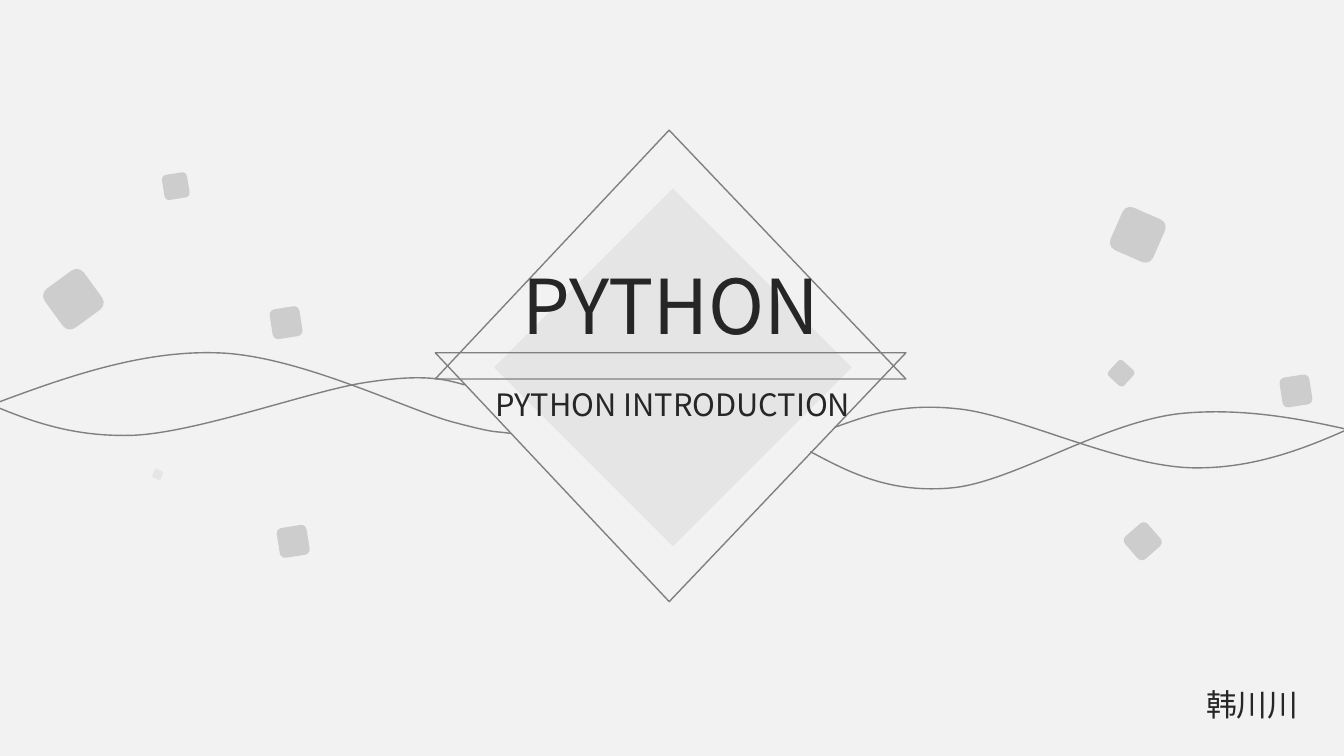
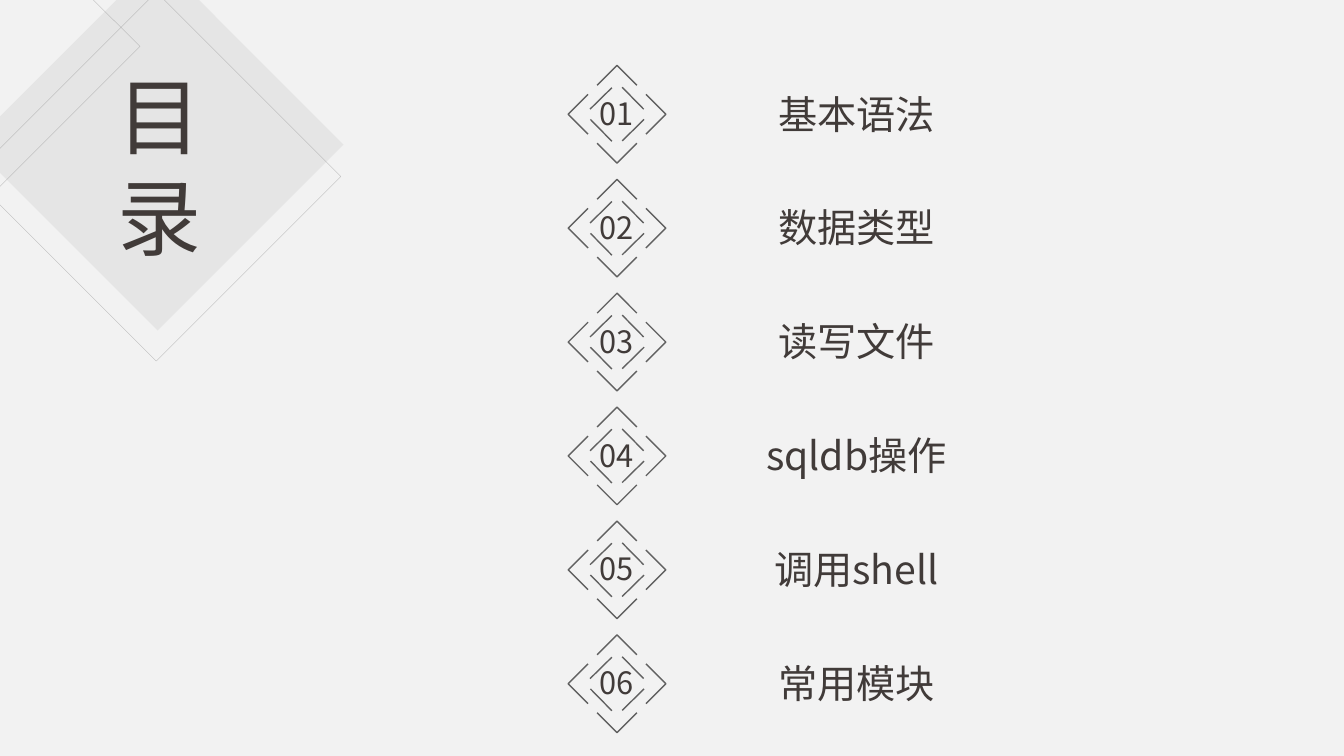
from lxml.etree import SubElement
from pptx import Presentation
from pptx.dml.color import RGBColor
from pptx.enum.shapes import MSO_CONNECTOR, MSO_SHAPE
from pptx.enum.text import MSO_AUTO_SIZE, PP_ALIGN
from pptx.oxml.ns import qn
from pptx.util import Cm, Pt

PAPER = RGBColor(0xF2, 0xF2, 0xF2)
SILVER = RGBColor(0xA6, 0xA6, 0xA6)
NEAR_BLACK = RGBColor(0x0D, 0x0D, 0x0D)
OUTLINE = RGBColor(0x80, 0x80, 0x80)
BADGE_LINE = RGBColor(0x61, 0x61, 0x61)
COVER_TEXT = RGBColor(0x26, 0x26, 0x26)
CONTENTS_TEXT = RGBColor(0x41, 0x3B, 0x39)
FONT = "Noto Sans CJK SC"
FAINT = 16
HALF = 48


def paint(shape, fill=None, line=None, width=1, opacity=None):
    """Give a shape or connector one flat fill or outline, without shadow."""
    if fill is not None:
        shape.fill.solid()
        shape.fill.fore_color.rgb = fill
    elif hasattr(shape, "fill"):
        shape.fill.background()
    if line is not None:
        shape.line.color.rgb = line
        shape.line.width = Pt(width)
    else:
        shape.line.fill.background()
    properties = shape._element.spPr
    if opacity is not None:
        for color in properties.iter(qn("a:srgbClr")):
            SubElement(color, qn("a:alpha")).set("val", str(opacity * 1000))
    SubElement(properties, qn("a:effectLst"))


def add_text(shapes, text, place, size, color, align=PP_ALIGN.CENTER):
    box = shapes.add_textbox(*map(Cm, place))
    frame = box.text_frame
    for name, value in {"word_wrap": True, "auto_size": MSO_AUTO_SIZE.SHAPE_TO_FIT_TEXT}.items():
        setattr(frame, name, value)
    para = frame.paragraphs[0]
    para.alignment = align
    span = para.add_run()
    span.text = text
    span.font.color.rgb = color
    for name, value in {"size": Pt(size), "name": FONT}.items():
        setattr(span.font, name, value)
    SubElement(span._r.get_or_add_rPr(), qn("a:ea")).set("typeface", FONT)


deck = Presentation()
deck.slide_width, deck.slide_height = Cm(33.87), Cm(19.05)
background = deck.slide_master.background.fill
background.solid()
background.fore_color.rgb = PAPER
blank = deck.slide_layouts[6]

# Cover
page = deck.slides.add_slide(blank)
diamond = page.shapes.add_shape(MSO_SHAPE.DIAMOND, Cm(12.45), Cm(4.75), Cm(9.02), Cm(9.02))
paint(diamond, fill=SILVER, opacity=FAINT)

for top, rotation, peak in [(8.89, 180, 0.503), (3.28, 0, 0.497)]:
    triangle = page.shapes.add_shape(MSO_SHAPE.ISOSCELES_TRIANGLE, Cm(10.97), Cm(top), Cm(11.86), Cm(6.27))
    triangle.rotation = rotation
    triangle.adjustments[0] = peak
    paint(triangle, line=OUTLINE)

add_text(page.shapes, "PYTHON", (12.73, 6.4, 8.36, 2.57), 54, COVER_TEXT)
add_text(page.shapes, "韩川川", (30.15, 17.15, 2.95, 1.19), 22, COVER_TEXT, PP_ALIGN.LEFT)

# Each wave is a start point followed by three Bézier points per curve
waves = [
    [(-0.63, 10.36), (1.37, 9.6), (3.4, 8.84), (5.41, 8.89), (7.42, 8.92),
     (10.11, 10.26), (11.35, 10.62), (12.6, 10.95), (12.4, 10.85), (12.85, 10.92)],
    [(20.42, 11.38), (21.41, 11.91), (22.45, 12.45), (24.03, 12.29), (25.6, 12.12),
     (27.91, 10.57), (29.87, 10.41), (31.85, 10.24), (33.83, 10.77), (35.84, 11.3)],
    [(21.03, 10.77), (21.84, 10.49), (22.68, 10.13), (24.21, 10.31), (25.73, 10.49),
     (28.35, 11.81), (30.18, 11.79), (32.03, 11.79), (33.6, 11), (35.2, 10.24)],
    [(-0.61, 10.03), (0.56, 10.54), (1.7, 11.02), (3.35, 10.97), (5, 10.9),
     (7.87, 9.83), (9.27, 9.63), (10.67, 9.42), (11.2, 9.55), (11.71, 9.7)],
]
for wave in waves:
    points = [(Cm(x), Cm(y)) for x, y in wave]
    builder = page.shapes.build_freeform(*points[0])
    builder.add_line_segments(points[1:], close=False)
    curve = builder.convert_to_shape()
    outline = next(curve._element.iter(qn("a:path")))
    segments = outline.findall(qn("a:lnTo"))
    for first in range(0, len(segments), 3):
        bezier = SubElement(outline, qn("a:cubicBezTo"))
        for segment in segments[first:first + 3]:
            bezier.append(segment[0])
            outline.remove(segment)
    paint(curve, line=OUTLINE)

squares = [
    (27.99, 9.14, 0.53, 312.4, NEAR_BLACK),
    (32.28, 9.47, 0.76, 261, NEAR_BLACK),
    (6.83, 7.75, 0.76, 261, NEAR_BLACK),
    (1.24, 6.93, 1.22, 323.9, NEAR_BLACK),
    (3.86, 11.84, 0.23, 293.7, SILVER),
    (28.09, 5.33, 1.17, 293.7, NEAR_BLACK),
    (7.01, 13.26, 0.76, 261, NEAR_BLACK),
    (28.42, 13.26, 0.76, 318.9, NEAR_BLACK),
    (4.11, 4.37, 0.64, 261, NEAR_BLACK),
]
for left, top, side, rotation, color in squares:
    square = page.shapes.add_shape(MSO_SHAPE.ROUNDED_RECTANGLE, Cm(left), Cm(top), Cm(side), Cm(side))
    square.rotation = rotation
    square.adjustments[0] = 0.18
    paint(square, fill=color, opacity=FAINT)

add_text(page.shapes, "PYTHON INTRODUCTION", (11.79, 9.6, 10.34, 1.19), 22, COVER_TEXT)

# Contents
page = deck.slides.add_slide(blank)
diamond = page.shapes.add_shape(MSO_SHAPE.DIAMOND, Cm(-0.71), Cm(-1.04), Cm(9.37), Cm(9.37))
paint(diamond, fill=SILVER, opacity=FAINT)
builder = page.shapes.build_freeform(Cm(-0.05), Cm(-2.39))
builder.add_line_segments([(Cm(3.53), Cm(1.17)), (Cm(-0.05), Cm(4.75))], close=True)
corner = builder.convert_to_shape()
frame_diamond = page.shapes.add_shape(MSO_SHAPE.DIAMOND, Cm(-0.71), Cm(-0.2), Cm(9.3), Cm(9.3))
for thin_shape in (corner, frame_diamond):
    paint(thin_shape, line=OUTLINE, width=0.25, opacity=HALF)
add_text(page.shapes, "目录", (2.49, 1.5, 3.07, 5.38), 60, CONTENTS_TEXT)

CENTER_X, FIRST_CENTER_Y, PITCH = 15.55, 2.88, 2.87
CHEVRON = [(-0.5, -0.73), (0, -1.23), (0.5, -0.73)]
STROKE = [(0.13, -0.68), (0.67, -0.13)]
topics = ["基本语法", "数据类型", "读写文件", "sqldb操作", "调用shell", "常用模块"]
for index, topic in enumerate(topics):
    center_y = FIRST_CENTER_Y + index * PITCH
    badge = page.shapes.add_group_shape().shapes
    marks = CHEVRON + STROKE
    for quarter in range(4):
        points = [(Cm(CENTER_X + x), Cm(center_y + y)) for x, y in marks]
        builder = badge.build_freeform(*points[0])
        builder.add_line_segments(points[1:3], close=False)
        paint(builder.convert_to_shape(), line=BADGE_LINE)
        stroke = badge.add_connector(MSO_CONNECTOR.STRAIGHT, *points[3], *points[4])
        paint(stroke, line=BADGE_LINE)
        marks = [(-y, x) for x, y in marks]
    add_text(badge, f"{index + 1:02}", (14.58, center_y - 0.62, 1.91, 1.19), 22, CONTENTS_TEXT)
    add_text(page.shapes, topic, (16.79, center_y - 0.74, 9.58, 1.45), 28, CONTENTS_TEXT)

deck.save("out.pptx")
